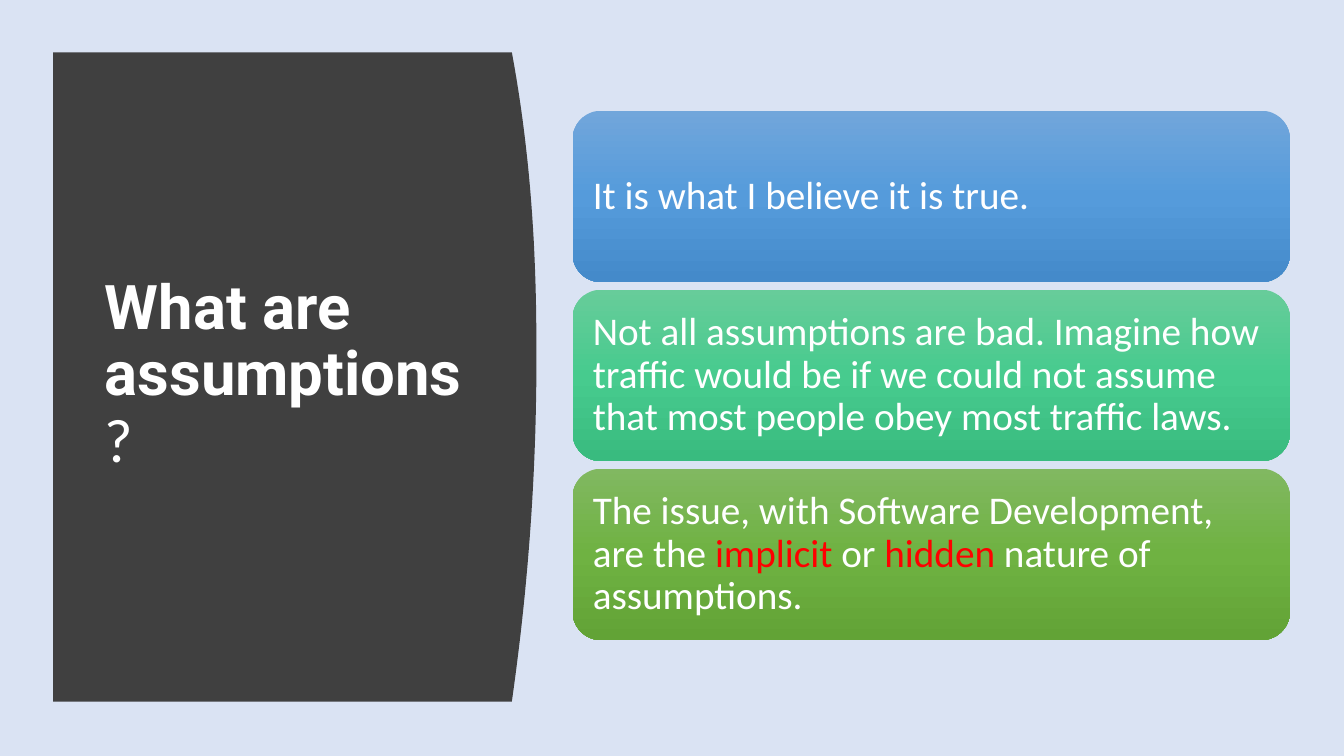
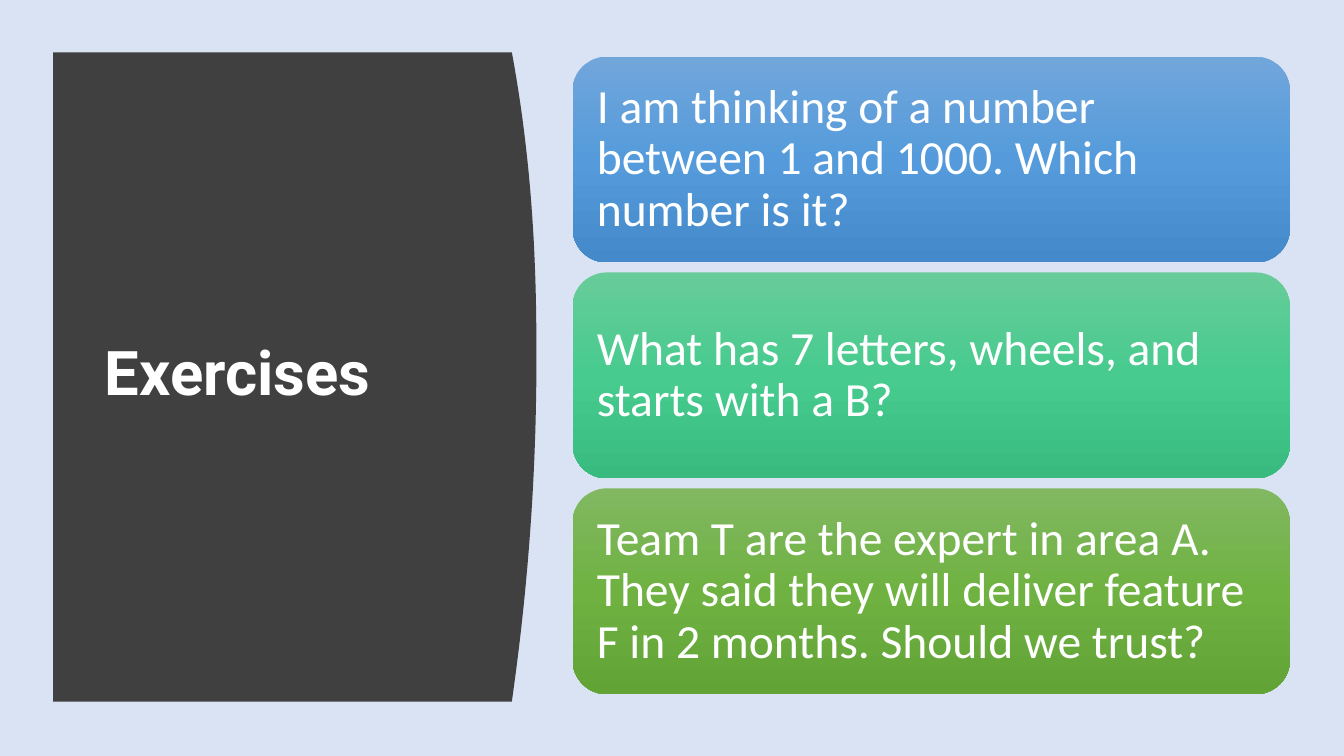
"""Builds two slides about assumptions, each with a curved title panel and three cards."""
from copy import deepcopy

from pptx import Presentation
from pptx.dml.color import RGBColor
from pptx.enum.shapes import MSO_SHAPE
from pptx.enum.text import MSO_ANCHOR, PP_ALIGN
from pptx.oxml.ns import qn
from pptx.util import Cm, Pt

BACKDROP = RGBColor(0xDA, 0xE3, 0xF3)
CHARCOAL = RGBColor(0x40, 0x40, 0x40)
WHITE = RGBColor(0xFF, 0xFF, 0xFF)
RED = RGBColor(0xFF, 0x00, 0x00)
BLUES = [RGBColor(0x71, 0xA6, 0xDB), RGBColor(0x55, 0x9B, 0xDB), RGBColor(0x44, 0x8A, 0xCA)]
TEALS = [RGBColor(0x67, 0xCC, 0x9A), RGBColor(0x47, 0xCB, 0x8E), RGBColor(0x39, 0xBB, 0x7F)]
GREENS = [RGBColor(0x81, 0xB8, 0x61), RGBColor(0x6F, 0xB2, 0x42), RGBColor(0x62, 0xA3, 0x36)]
CARD_GRADIENTS = [BLUES, TEALS, GREENS]

TITLE_FONT, BODY_FONT = "Roboto", "Calibri"
TITLE_SIZE = 44
LINE_SPACING = 0.9

SLIDES = [
    {
        "title": [("What are assumptions", TITLE_FONT, True), ("?", BODY_FONT, False)],
        "cards": [
            [("It is what I believe it is true.", WHITE)],
            [("Not all assumptions are bad. Imagine how traffic would be if we could "
              "not assume that most people obey most traffic laws.", WHITE)],
            [("The issue, with Software Development, are the ", WHITE), ("implicit", RED),
             (" or ", WHITE), ("hidden", RED), (" nature of assumptions.", WHITE)],
        ],
        "size": 28, "height": 4.32, "gap": 0.19, "inset": 0.3,
    },
    {
        "title": [("Exercises", TITLE_FONT, True)],
        "cards": [
            [("I am thinking of a number between 1 and 1000. Which number is it?", WHITE)],
            [("What has 7 letters, wheels, and starts with a B?", WHITE)],
            [("Team T are the expert in area A. They said they will deliver feature F "
              "in 2 months. Should we trust?", WHITE)],
        ],
        "size": 34, "height": 5.19, "gap": 0.25, "inset": 0.36,
    },
]

PANEL_LEFT, PANEL_TOP, PANEL_RIGHT, PANEL_BOTTOM = 1.34, 1.32, 12.9, 17.68
PANEL_BULGE, PANEL_TIP = 0.62, 9.02
TOP_POWER, BOTTOM_POWER = 2.3, 2
CURVE_STEPS = 48
TITLE_BOX = (2.39, 2.82, 10.11, 13.31)
CARD_LEFT, CARD_WIDTH, CARDS_MIDDLE = 14.43, 18.08, 9.46


def add_span(para, text, font, size, color, bold=False):
    span = para.add_run()
    span.text = text
    span.font.name = font
    span.font.size = Pt(size)
    span.font.bold = bold
    span.font.color.rgb = color


def prepare_text(shape):
    frame = shape.text_frame
    frame.word_wrap = True
    frame.vertical_anchor = MSO_ANCHOR.MIDDLE
    para = frame.paragraphs[0]
    para.alignment = PP_ALIGN.LEFT
    para.line_spacing = LINE_SPACING
    return para


def curve_point(step):
    y = PANEL_TOP + (PANEL_BOTTOM - PANEL_TOP) * step / CURVE_STEPS
    if y < PANEL_TIP:
        bend = ((PANEL_TIP - y) / (PANEL_TIP - PANEL_TOP)) ** TOP_POWER
    else:
        bend = ((y - PANEL_TIP) / (PANEL_BOTTOM - PANEL_TIP)) ** BOTTOM_POWER
    return Cm(PANEL_RIGHT + PANEL_BULGE * (1 - bend)), Cm(y)


def add_panel(page, title):
    outline = page.shapes.build_freeform(Cm(PANEL_LEFT), Cm(PANEL_TOP))
    points = [curve_point(step) for step in range(CURVE_STEPS + 1)]
    outline.add_line_segments(points + [(Cm(PANEL_LEFT), Cm(PANEL_BOTTOM))], close=True)
    panel = outline.convert_to_shape()
    panel.shadow.inherit = False
    panel.fill.solid()
    panel.fill.fore_color.rgb = CHARCOAL
    panel.line.fill.background()
    para = prepare_text(page.shapes.add_textbox(*map(Cm, TITLE_BOX)))
    for text, font, bold in title:
        add_span(para, text, font, TITLE_SIZE, WHITE, bold)


def fill_gradient(shape, colors):
    shape.fill.gradient()
    shape.fill.gradient_angle = 270
    stop_list = shape._element.spPr.find(qn("a:gradFill")).find(qn("a:gsLst"))
    while len(stop_list) < len(colors):
        stop_list.append(deepcopy(stop_list[0]))
    for index, (stop, color) in enumerate(zip(shape.fill.gradient_stops, colors)):
        stop.position = index / (len(colors) - 1)
        stop.color.rgb = color


def add_cards(page, content):
    cards, height, gap = content["cards"], content["height"], content["gap"]
    pitch = height + gap
    top = CARDS_MIDDLE - (len(cards) * pitch - gap) / 2
    for index, (spans, colors) in enumerate(zip(cards, CARD_GRADIENTS)):
        card = page.shapes.add_shape(
            MSO_SHAPE.ROUNDED_RECTANGLE,
            Cm(CARD_LEFT), Cm(top + index * pitch), Cm(CARD_WIDTH), Cm(height))
        card.shadow.inherit = False
        card.line.fill.background()
        fill_gradient(card, colors)
        frame = card.text_frame
        frame.margin_left = frame.margin_right = Cm(content["inset"])
        frame.margin_top = frame.margin_bottom = Cm(content["inset"])
        para = prepare_text(card)
        for text, color in spans:
            add_span(para, text, BODY_FONT, content["size"], color)


def main():
    deck = Presentation()
    deck.slide_width, deck.slide_height = Cm(33.87), Cm(19.05)
    backdrop = deck.slide_master.background.fill
    backdrop.solid()
    backdrop.fore_color.rgb = BACKDROP
    for content in SLIDES:
        page = deck.slides.add_slide(deck.slide_layouts[6])
        add_panel(page, content["title"])
        add_cards(page, content)
    deck.save("out.pptx")


if __name__ == "__main__":
    main()
